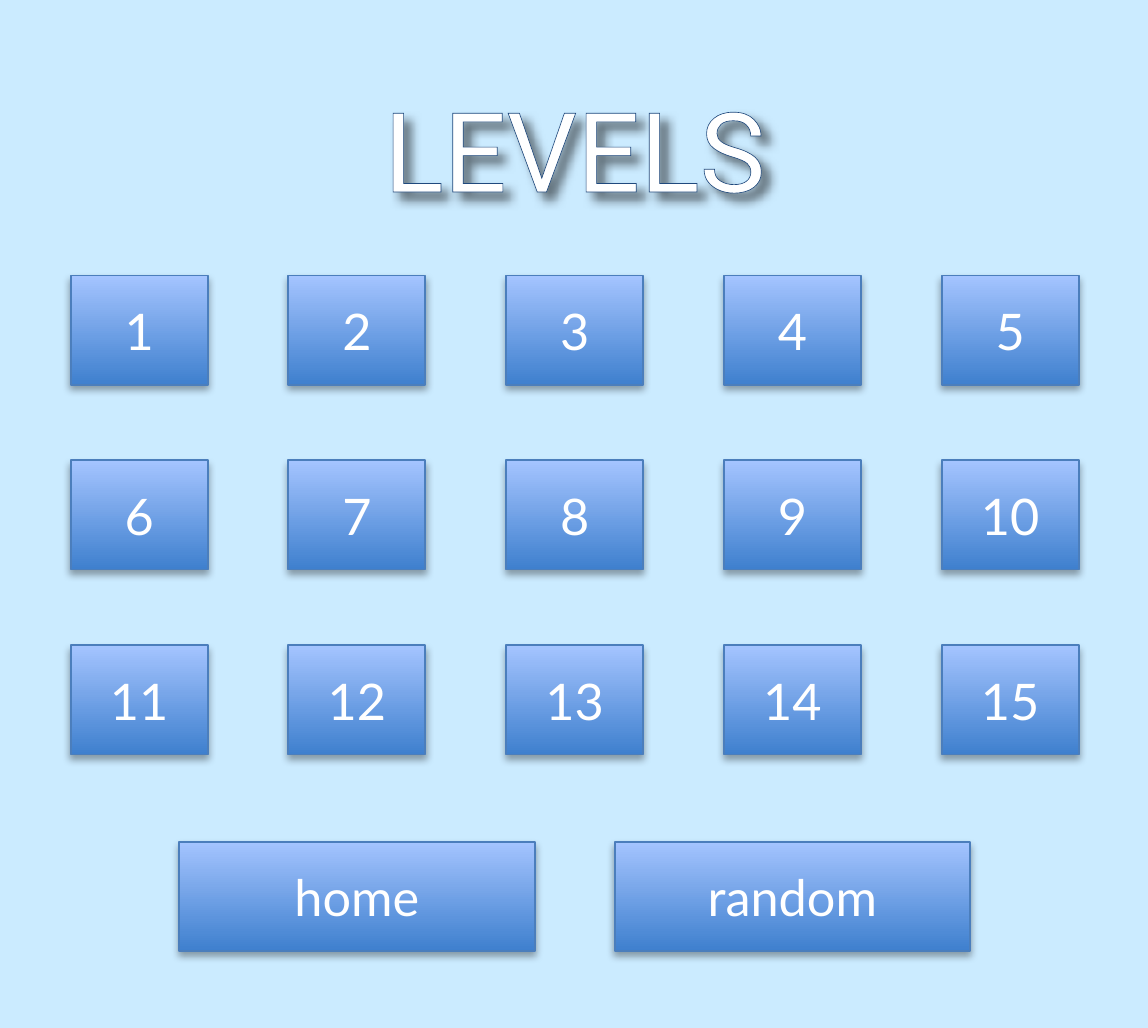
from lxml import etree
from pptx import Presentation
from pptx.dml.color import RGBColor
from pptx.enum.shapes import MSO_SHAPE as Shape
from pptx.enum.text import MSO_ANCHOR as Anchor, PP_ALIGN as Align
from pptx.oxml import parse_xml
from pptx.oxml.ns import nsdecls, qn
from pptx.util import Cm, Pt

COLUMNS, ROWS = 5, 3
LEFT, TOP = 0.99, 3.86
COLUMN_STEP, ROW_STEP = 3.05, 2.59
BUTTON_HEIGHT = 1.53
LEVEL_WIDTH, WIDE_WIDTH = 1.92, 4.98


def rgb(color):
    return RGBColor.from_string(color)


def add_shadow(shape, blur, distance, angle, opacity):
    """Give the shape a black shadow: points, degrees and percent."""
    effects = etree.SubElement(shape.element.spPr, qn("a:effectLst"))
    shadow = etree.SubElement(
        effects, qn("a:outerShdw"), blurRad=str(Pt(blur)), dist=str(Pt(distance)),
        dir=str(angle * 60000), algn="tl", rotWithShape="0")
    color = etree.SubElement(shadow, qn("a:srgbClr"), val="000000")
    etree.SubElement(color, qn("a:alpha"), val=str(opacity * 1000))


def write(shape, text, size, font, color="FFFFFF", outline=None):
    """Fill the shape with centred text; outline is a colour for the letters' edge."""
    frame = shape.text_frame
    frame.word_wrap = True
    frame.vertical_anchor = Anchor.MIDDLE
    paragraph = frame.paragraphs[0]
    paragraph.alignment = Align.CENTER
    run = paragraph.add_run()
    run.text = text
    run.font.size = Pt(size)
    run.font.name = font
    run.font.color.rgb = rgb(color)
    if outline:
        run.font.element.insert(0, parse_xml(
            f'<a:ln {nsdecls("a")} w="{Pt(0.8)}"><a:solidFill>'
            f'<a:srgbClr val="{outline}"/></a:solidFill></a:ln>')) if hasattr(
            run.font, "element") else run._r.get_or_add_rPr().insert(0, parse_xml(
                f'<a:ln {nsdecls("a")} w="{Pt(0.8)}"><a:solidFill>'
                f'<a:srgbClr val="{outline}"/></a:solidFill></a:ln>'))


class LevelMenu:
    background = "CBEBFF"
    gradient = ("3F80CE", "A4C4FF")
    edge = "4B7EBC"
    title_font, button_font = "Roboto", "Lato"

    def __init__(self, slide):
        self.slide = slide
        fill = slide.background.fill
        fill.solid()
        fill.fore_color.rgb = rgb(self.background)

    def title(self, text, left, top, width, height):
        box = self.slide.shapes.add_textbox(Cm(left), Cm(top), Cm(width), Cm(height))
        write(box, text, size=44, font=self.title_font, outline="1F497D")
        add_shadow(box, blur=4, distance=4, angle=45, opacity=50)

    def button(self, text, left, top, width):
        shape = self.slide.shapes.add_shape(
            Shape.RECTANGLE, Cm(left), Cm(top), Cm(width), Cm(BUTTON_HEIGHT))
        shape.fill.gradient()
        shape.fill.gradient_angle = 90
        for stop, color in zip(shape.fill.gradient_stops, self.gradient):
            stop.color.rgb = rgb(color)
        shape.line.color.rgb = rgb(self.edge)
        shape.line.width = Pt(0.75)
        add_shadow(shape, blur=3.1, distance=1.8, angle=90, opacity=35)
        write(shape, text, size=20, font=self.button_font)


def main():
    presentation = Presentation()
    presentation.slide_width, presentation.slide_height = Cm(16.08), Cm(14.4)
    menu = LevelMenu(presentation.slides.add_slide(presentation.slide_layouts[6]))
    menu.title("LEVELS", 0.89, 0.89, 14.33, 2.36)
    for index in range(COLUMNS * ROWS):
        row, column = divmod(index, COLUMNS)
        menu.button(str(index + 1), LEFT + column * COLUMN_STEP,
                    TOP + row * ROW_STEP, LEVEL_WIDTH)
    for index, label in enumerate(("home", "random")):
        menu.button(label, 2.51 + index * 2 * COLUMN_STEP, 11.79, WIDE_WIDTH)
    presentation.save("out.pptx")


if __name__ == "__main__":
    main()
